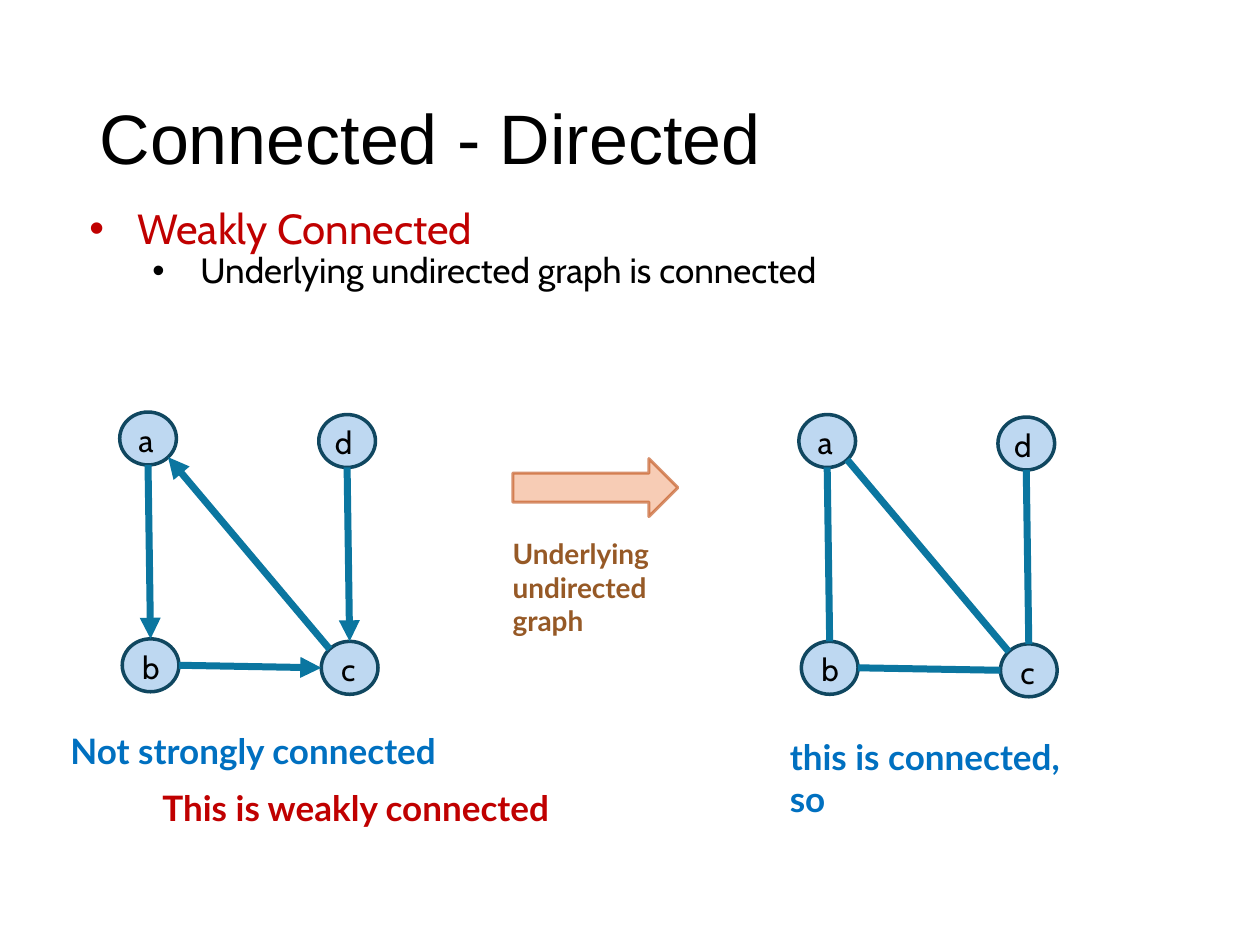
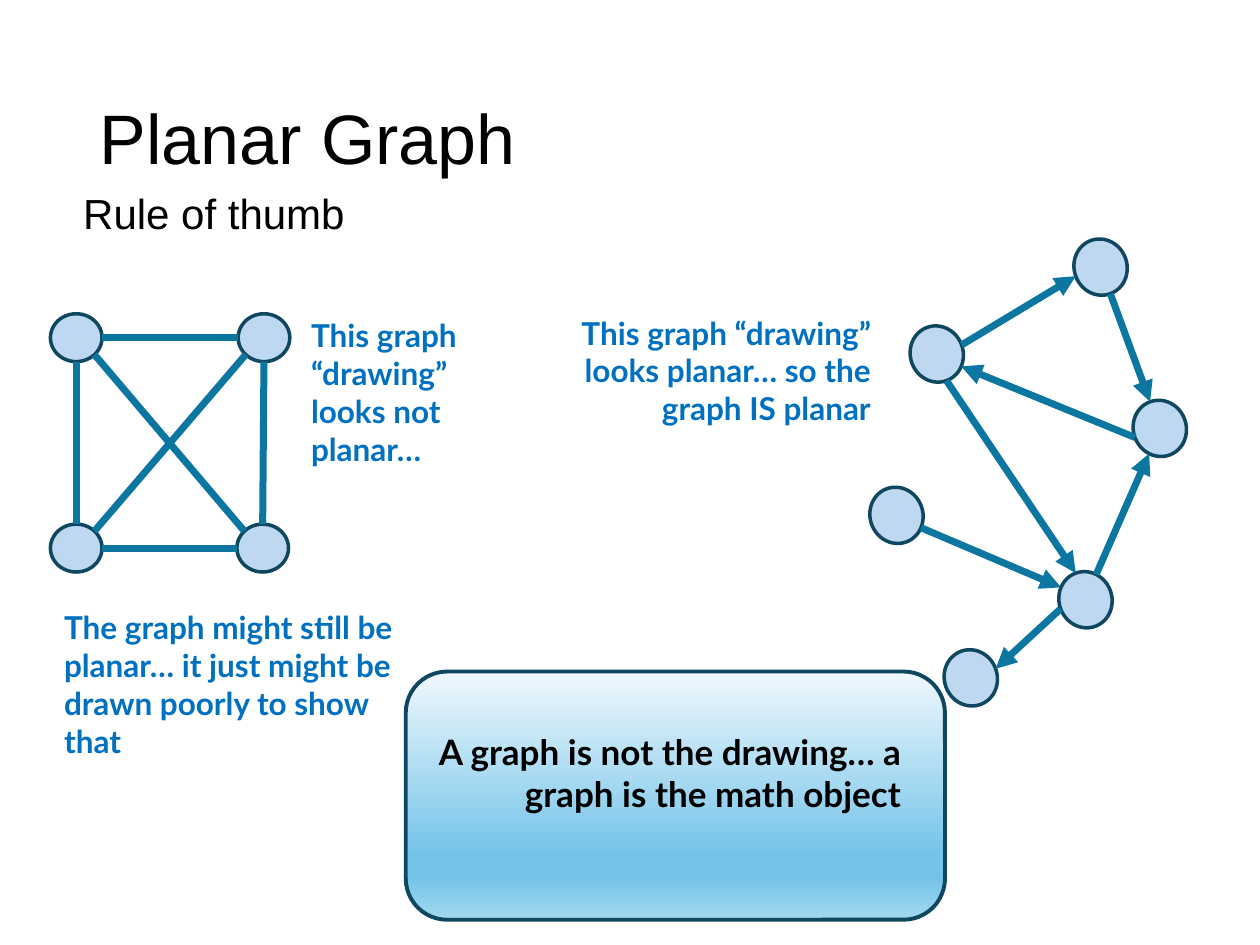
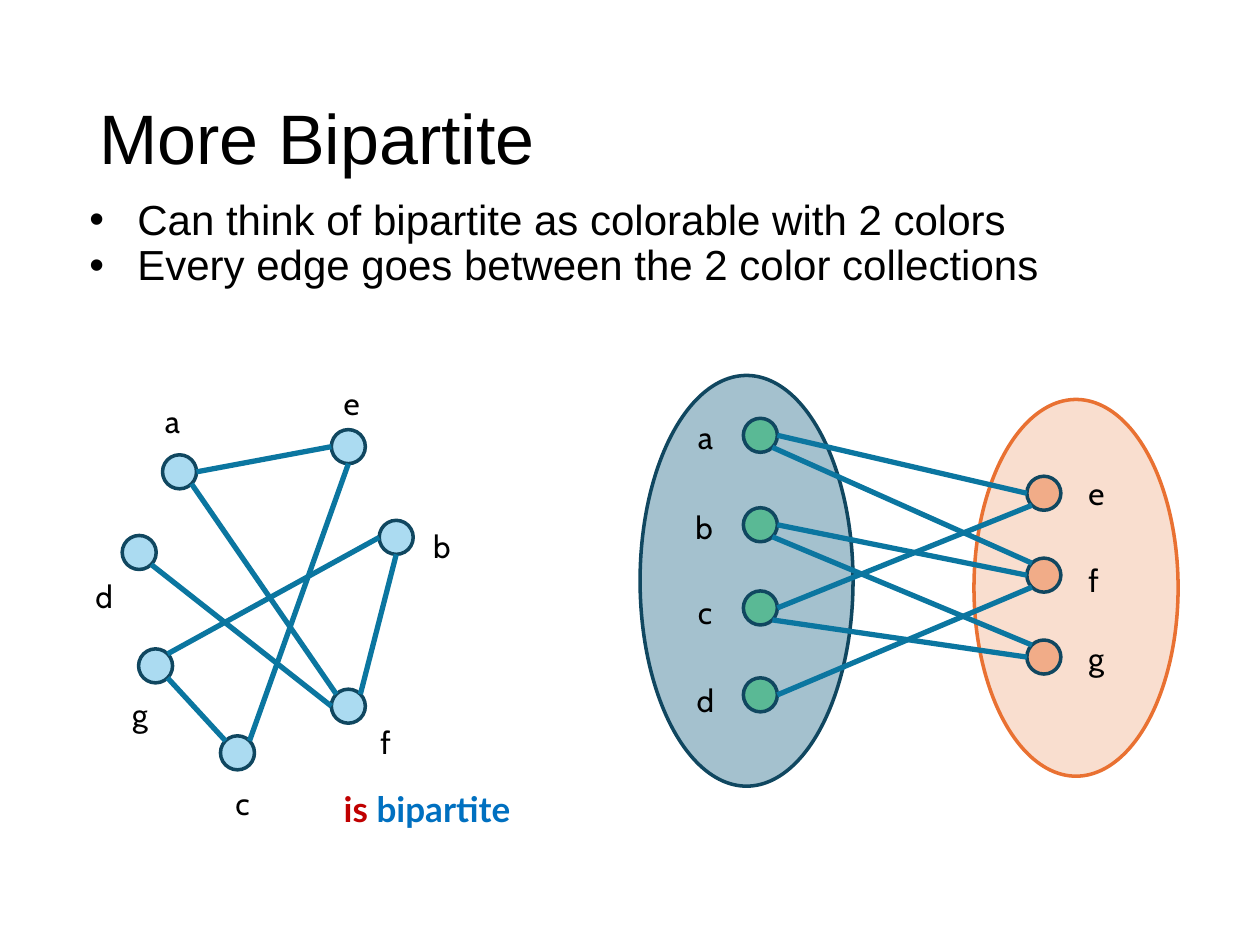
from math import cos, sin, radians
from lxml.etree import SubElement
from pptx import Presentation
from pptx.dml.color import RGBColor
from pptx.enum.shapes import MSO_CONNECTOR, MSO_SHAPE
from pptx.enum.text import MSO_ANCHOR, MSO_AUTO_SIZE, PP_ALIGN
from pptx.oxml.ns import qn
from pptx.util import Pt

PX = 9144  # 100 px to the inch
BLACK, RED, BLUE, BROWN = "000000", "C00000", "0070C0", "965926"
EDGE, OUTLINE, NODE, SKY = "0B76A0", "104760", "71AAE0", "46B1E1"
GREEN, ORANGE, PEACH = "00B050", "E97132", "F2AA84"


def paint(fill, color, opacity=100):
    fill.solid()
    fill.fore_color.rgb = RGBColor.from_string(color)
    if opacity < 100:
        clr = fill._xPr.find(qn("a:solidFill"))[0]
        SubElement(clr, qn("a:alpha"), val=str(opacity * 1000))


def write(p, runs, size, font, bold=False):
    for text, color in runs:
        r = p.add_run()
        r.text = text
        r.font.size, r.font.name, r.font.bold = Pt(size), font, bold
        paint(r.font.fill, color)


prs = Presentation()
prs.slide_width, prs.slide_height = 1000 * PX, 750 * PX

# Titles and lists: (text, colour, size, font, left margin, bullet)
pages = [
    ("Connected - Directed", (50, 160), [
        ("Weakly Connected", RED, 24, "Cabin", 49, True),
        ("Underlying undirected graph is connected", BLACK, 20, "Cabin", 99, True)]),
    ("Planar Graph", (44, 148), [
        ("Rule of thumb", BLACK, 24, "Arial", 12, False)]),
    ("More Bipartite", (50, 153), [
        ("Can think of bipartite as colorable with 2 colors", BLACK, 24, "Arial", 49, True),
        ("Every edge goes between the 2 color collections", BLACK, 24, "Arial", 49, True)]),
]
for title, (x, y), items in pages:
    s = prs.slides.add_slide(prs.slide_layouts[1])
    head, body = s.placeholders
    head.left, head.top, head.width, head.height = 69 * PX, 40 * PX, 862 * PX, 145 * PX
    body.left, body.top, body.width, body.height = x * PX, y * PX, 900 * PX, 506 * PX
    head.text_frame.vertical_anchor = MSO_ANCHOR.MIDDLE
    for sp in (head, body):
        sp.text_frame.auto_size = MSO_AUTO_SIZE.NONE
    p = head.text_frame.paragraphs[0]
    p.alignment, p.line_spacing = PP_ALIGN.LEFT, 0.9
    write(p, [(title, BLACK)], 40, "Arial")

    tf = body.text_frame
    for i, (text, color, size, font, margin, bullet) in enumerate(items):
        p = tf.add_paragraph() if i else tf.paragraphs[0]
        p.level = 1 if margin > 49 else 0
        p.line_spacing, p.space_before = 0.9, Pt(0)
        pPr = p._p.get_or_add_pPr()
        pPr.set("marL", str(margin * PX))
        pPr.set("indent", str(-38 * PX if bullet else 0))
        if bullet:
            SubElement(pPr, qn("a:buChar"), char="•")
        else:
            SubElement(pPr, qn("a:buNone"))
        write(p, [(text, color)], size, font)

connected, planar, bipartite = prs.slides

# Two sets behind the bipartite graph
for x, y, w, h, fill, line in [(508, 298, 169, 326, "156082", OUTLINE),
                               (773, 317, 162, 299, PEACH, ORANGE)]:
    sp = bipartite.shapes.add_shape(MSO_SHAPE.OVAL, x * PX, y * PX, w * PX, h * PX)
    sp.shadow.inherit = False
    paint(sp.fill, fill, 39)
    paint(sp.line.fill, line)
    sp.line.width = Pt(2)

# Graphs. Node: x, y and, if labelled, the label's offset.
# Edge "a4b0": site 4 of a to site 0 of b; sites run anticlockwise from the top.
triangle = {"a": (95, 327, 5, 2), "b": (97, 507, 6, 2),
            "c": (255, 509, 6, 2), "d": (253, 329, 3, 2)}
triangle_edges = "a4b0 d4c0 c1a5 b6c2"
shifted = {n: (x + 539, y + 2, dx, dy) for n, (x, y, dx, dy) in triangle.items()}
square = {"a": (40, 249), "b": (189, 249), "c": (40, 416), "d": (188, 416)}
drawing = {"a": (851, 191), "b": (898, 319), "c": (721, 260),
           "d": (689, 388), "e": (748, 517), "f": (839, 455)}
ring = {"a": (129, 361, -8, -47), "b": (301, 413, 33, 0), "c": (175, 584, 2, 33),
        "d": (97, 425, -31, 28), "e": (263, 341, 0, -41), "f": (263, 547, 29, 22),
        "g": (110, 515, -15, 32)}
columns = {"a": (590, 332, -46, -5), "b": (590, 403, -48, -5),
           "c": (590, 469, -46, -3), "d": (590, 538, -47, -2),
           "e": (815, 378, 39, -7), "f": (815, 443, 39, -3), "g": (815, 508, 39, -6)}

# slide, nodes, edges, node size, rotation, fills by node, arrows, edge pt, label width
graphs = [
    (connected, triangle, triangle_edges, (45, 42), 0, {"abcd": NODE}, True, 4, 30),
    (connected, shifted, triangle_edges, (45, 42), 0, {"abcd": NODE}, False, 4, 30),
    (planar, drawing, "a6b2 b4c7 c6f2 d7f3 f4e0 f1b5 c0a4", (45, 42), 69.9,
     {"abcdef": NODE}, True, 4, 0),
    (planar, square, "a6b2 a4c0 b4d0 c6d2 d1a5 b3c7", (41, 38), 0,
     {"abcd": NODE}, False, 4, 0),
    (bipartite, ring, "c7e4 a6e2 d5f2 f1a5 g5c1 f7b4 g7b2", (27, 27), 0,
     {"abcdefg": SKY}, False, 3, 47),
    (bipartite, columns, "a6e2 f1a5 b6f2 b5g1 d6f3 c6e3 c5g2", (27, 27), 0,
     {"abcd": GREEN, "efg": ORANGE}, False, 3, 47),
]
for s, nodes, edges, (w, h), turn, fills, arrows, width, label_w in graphs:
    for names, fill in fills.items():
        for name in names:
            x, y, *offset = nodes[name]
            sp = s.shapes.add_shape(MSO_SHAPE.OVAL, x * PX, y * PX, w * PX, h * PX)
            sp.shadow.inherit = False
            sp.rotation = turn
            paint(sp.fill, fill, 45)
            paint(sp.line.fill, OUTLINE)
            sp.line.width = Pt(2)
            if offset:
                dx, dy = offset
                tb = s.shapes.add_textbox((x + dx) * PX, (y + dy) * PX, label_w * PX, 40 * PX)
                tb.text_frame.word_wrap = True
                write(tb.text_frame.paragraphs[0], [(name, BLACK)], 18, "Cabin")

    for edge in edges.split():
        ends = []
        for name, site in (edge[:2], edge[2:]):
            angle, t = radians(90 + 45 * int(site)), radians(turn)
            u, v = w / 2 * cos(angle), -h / 2 * sin(angle)
            x, y = nodes[name][:2]
            ends += [round((x + w / 2 + u * cos(t) - v * sin(t)) * PX),
                     round((y + h / 2 + u * sin(t) + v * cos(t)) * PX)]
        cn = s.shapes.add_connector(MSO_CONNECTOR.STRAIGHT, *ends)
        paint(cn.line.fill, EDGE)
        cn.line.width = Pt(width)
        if arrows:
            SubElement(cn.line._get_or_add_ln(), qn("a:tailEnd"), type="triangle")
        SubElement(cn._element.spPr, qn("a:effectLst"))

# Block arrow between the two connected graphs
sp = connected.shapes.add_shape(MSO_SHAPE.RIGHT_ARROW, 407 * PX, 364 * PX, 131 * PX, 46 * PX)
sp.shadow.inherit = False
paint(sp.fill, PEACH, 60)
paint(sp.line.fill, "C04F15", 62)
sp.line.width = Pt(1.75)

# Gradient panel on the planar slide
sp = planar.shapes.add_shape(MSO_SHAPE.ROUNDED_RECTANGLE, 322 * PX, 533 * PX, 428 * PX, 197 * PX)
sp.shadow.inherit = False
sp.fill.gradient()
sp.fill.gradient_angle = 270
stops = sp._element.spPr.find(qn("a:gradFill")).find(qn("a:gsLst"))
for gs in list(stops):
    stops.remove(gs)
for pos, color in [(0, "F0F8FD"), (74, "74C4E9"), (83, "74C4E9"), (100, "A2D8F0")]:
    gs = SubElement(stops, qn("a:gs"), pos=str(pos * 1000))
    SubElement(gs, qn("a:srgbClr"), val=color)
paint(sp.line.fill, OUTLINE)
sp.line.width = Pt(2.25)

# Bold remarks
L, R = PP_ALIGN.LEFT, PP_ALIGN.RIGHT
remarks = [
    (connected, 46, 574, 365, 44, 20, L, [("Not strongly connected", BLUE)]),
    (connected, 397, 421, 165, 91, 16, L, [("Underlying undirected graph", BROWN)]),
    (connected, 617, 579, 263, 77, 20, L, [("this is connected, so", BLUE)]),
    (connected, 119, 619, 372, 44, 20, L, [("This is weakly connected", RED)]),
    (planar, 445, 244, 256, 131, 18, R,
     [("This graph “drawing” looks planar… so the graph IS planar", BLUE)]),
    (planar, 237, 246, 179, 131, 18, L, [("This graph “drawing” looks not planar…", BLUE)]),
    (planar, 41, 478, 311, 131, 18, L,
     [("The graph might still be planar… it just might be drawn poorly to show that", BLUE)]),
    (planar, 299, 575, 426, 111, 20, R,
     [("A graph is not the drawing… a graph is the math object", BLACK)]),
    (bipartite, 263, 620, 183, 44, 20, L, [("is ", RED), ("bipartite", BLUE)]),
]
for s, x, y, w, h, size, align, runs in remarks:
    tb = s.shapes.add_textbox(x * PX, y * PX, w * PX, h * PX)
    tb.text_frame.word_wrap = True
    p = tb.text_frame.paragraphs[0]
    p.alignment = align
    write(p, runs, size, "Lato", True)

prs.save("out.pptx")
